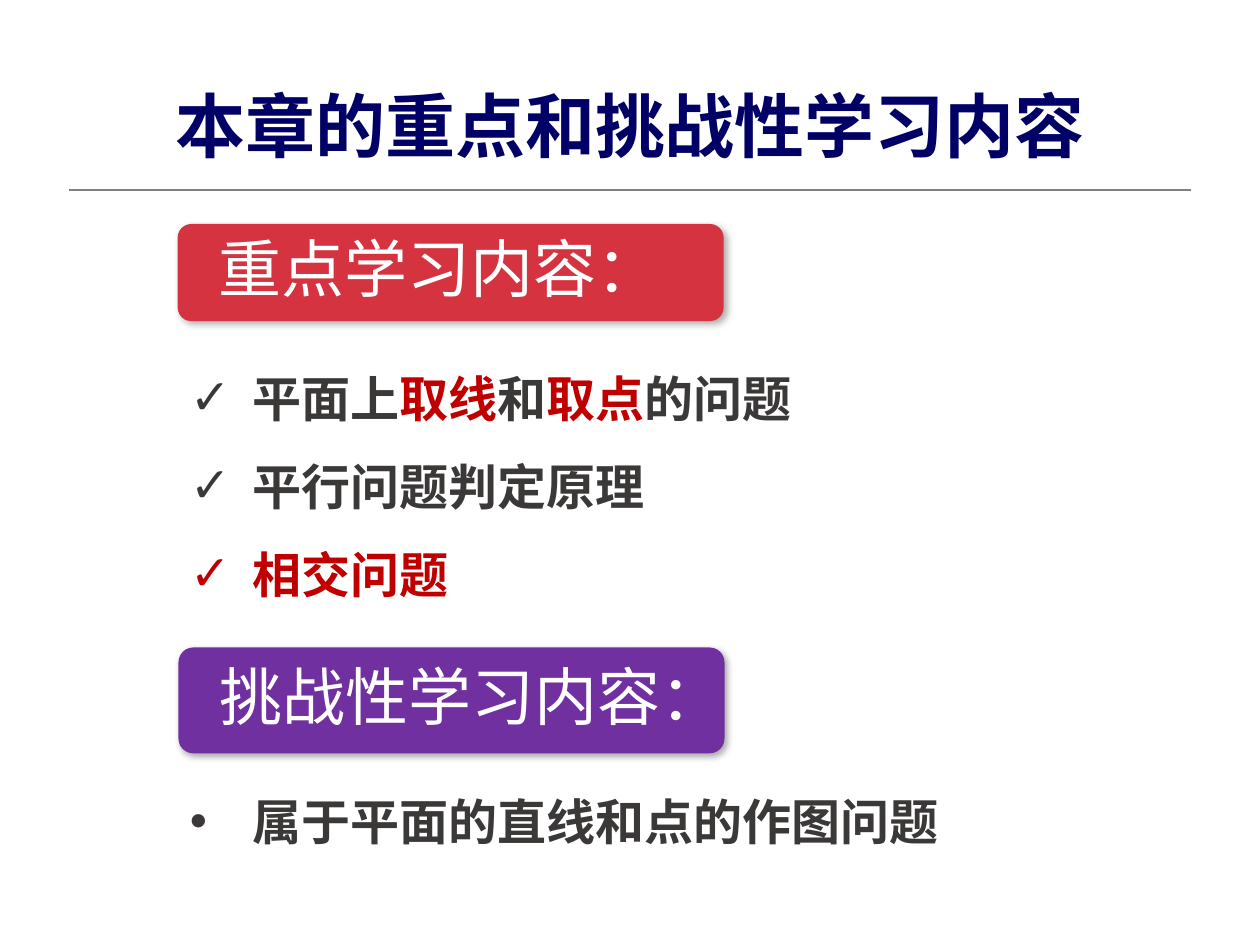
from dataclasses import dataclass

from lxml import etree
from pptx import Presentation
from pptx.dml.color import RGBColor
from pptx.enum.lang import MSO_LANGUAGE_ID
from pptx.enum.shapes import MSO_CONNECTOR, MSO_SHAPE
from pptx.enum.text import MSO_ANCHOR, MSO_AUTO_SIZE, PP_ALIGN
from pptx.oxml.ns import qn
from pptx.util import Pt

STRAIGHT = MSO_CONNECTOR.STRAIGHT
ROUND = MSO_SHAPE.ROUNDED_RECTANGLE
CHINESE = MSO_LANGUAGE_ID.SIMPLIFIED_CHINESE
MIDDLE, BOTTOM = MSO_ANCHOR.MIDDLE, MSO_ANCHOR.BOTTOM
GROW = MSO_AUTO_SIZE.SHAPE_TO_FIT_TEXT
LEFT, CENTER, JUSTIFY = PP_ALIGN.LEFT, PP_ALIGN.CENTER, PP_ALIGN.JUSTIFY

WHITE = RGBColor(0xFF, 0xFF, 0xFF)
NAVY = RGBColor(0x00, 0x00, 0x66)
GRAY = RGBColor(0x80, 0x80, 0x80)
DARK = RGBColor(0x3B, 0x38, 0x38)
RED = RGBColor(0xC0, 0x00, 0x00)
CORAL = RGBColor(0xD4, 0x33, 0x3F)
PURPLE = RGBColor(0x70, 0x30, 0xA0)
FONT = "Arial"


@dataclass(frozen=True)
class Box:
    left: float
    top: float
    width: float
    height: float

    def frame(self) -> tuple:
        return Pt(self.left), Pt(self.top), Pt(self.width), Pt(self.height)


@dataclass(frozen=True)
class Span:
    text: str
    color: RGBColor = DARK


@dataclass(frozen=True)
class Banner:
    box: Box
    text: str
    fill: RGBColor


@dataclass(frozen=True)
class Points:
    box: Box
    mark: str
    items: tuple


BANNERS = (
    Banner(Box(101.5, 128, 312, 55.5), "重点学习内容：", CORAL),
    Banner(Box(102, 370, 312, 60.5), "挑战性学习内容：", PURPLE),
)
LISTS = (
    Points(Box(101.5, 190, 551.5, 154), "✓", (
        (Span("平面上"), Span("取线", RED), Span("和"),
         Span("取点", RED), Span("的问题")),
        (Span("平行问题判定原理"),),
        (Span("相交问题", RED),),
    )),
    Points(Box(101.5, 432, 579, 52), "•", (
        (Span("属于平面的直线和点的作图问题"),),
    )),
)


def add_run(para, span: Span, size: float, bold: bool) -> None:
    run = para.add_run()
    run.text = span.text
    font = run.font
    font.name, font.size, font.bold = FONT, Pt(size), bold
    font.color.rgb = span.color
    font.language_id = CHINESE


def add_shade(shape) -> None:
    props = shape._element.spPr
    list_ = etree.SubElement(props, qn("a:effectLst"))
    shade = etree.SubElement(
        list_, qn("a:outerShdw"), blurRad=str(Pt(4)), dist=str(Pt(2)),
        dir="2700000", algn="tl", rotWithShape="0")
    color = etree.SubElement(shade, qn("a:srgbClr"), val="000000")
    etree.SubElement(color, qn("a:alpha"), val="33000")


def add_mark(para, mark: str) -> None:
    props = para._p.get_or_add_pPr()
    props.set("marL", str(Pt(36)))
    props.set("indent", str(Pt(-36)))
    etree.SubElement(props, qn("a:buFont"), typeface=FONT)
    etree.SubElement(props, qn("a:buChar"), char=mark)


def draw_title(slide) -> None:
    frame = slide.shapes.add_textbox(*Box(39.5, 43, 641, 55.5).frame()).text_frame
    frame.word_wrap = True
    frame.vertical_anchor = BOTTOM
    para = frame.paragraphs[0]
    para.alignment = CENTER
    add_run(para, Span("本章的重点和挑战性学习内容", NAVY), 40, True)


def draw_rule(slide) -> None:
    rule = slide.shapes.add_connector(
        STRAIGHT, Pt(39.5), Pt(108.5), Pt(680.5), Pt(108.5))
    rule.line.color.rgb = GRAY
    rule.line.width = Pt(1)
    etree.SubElement(rule._element.spPr, qn("a:effectLst"))


def draw_banner(slide, banner: Banner) -> None:
    shape = slide.shapes.add_shape(ROUND, *banner.box.frame())
    shape.adjustments[0] = 0.14
    shape.fill.solid()
    shape.fill.fore_color.rgb = banner.fill
    shape.line.fill.background()
    add_shade(shape)
    frame = shape.text_frame
    frame.word_wrap = True
    frame.vertical_anchor = MIDDLE
    frame.margin_left = Pt(21)
    frame.margin_right = frame.margin_top = frame.margin_bottom = Pt(5)
    para = frame.paragraphs[0]
    para.alignment = LEFT
    para.line_spacing = 0.9
    add_run(para, Span(banner.text, WHITE), 36, False)


def draw_points(slide, points: Points) -> None:
    frame = slide.shapes.add_textbox(*points.box.frame()).text_frame
    frame.word_wrap = True
    frame.auto_size = GROW
    for i, spans in enumerate(points.items):
        para = frame.add_paragraph() if i else frame.paragraphs[0]
        para.alignment = JUSTIFY
        para.line_spacing = 1.5
        add_mark(para, points.mark)
        for span in spans:
            add_run(para, span, 28, True)


def main() -> None:
    deck = Presentation()
    deck.slide_width, deck.slide_height = Pt(720), Pt(540)
    slide = deck.slides.add_slide(deck.slide_layouts[6])
    draw_rule(slide)
    draw_title(slide)
    for banner in BANNERS:
        draw_banner(slide, banner)
    for points in LISTS:
        draw_points(slide, points)
    deck.save("out.pptx")


if __name__ == "__main__":
    main()
